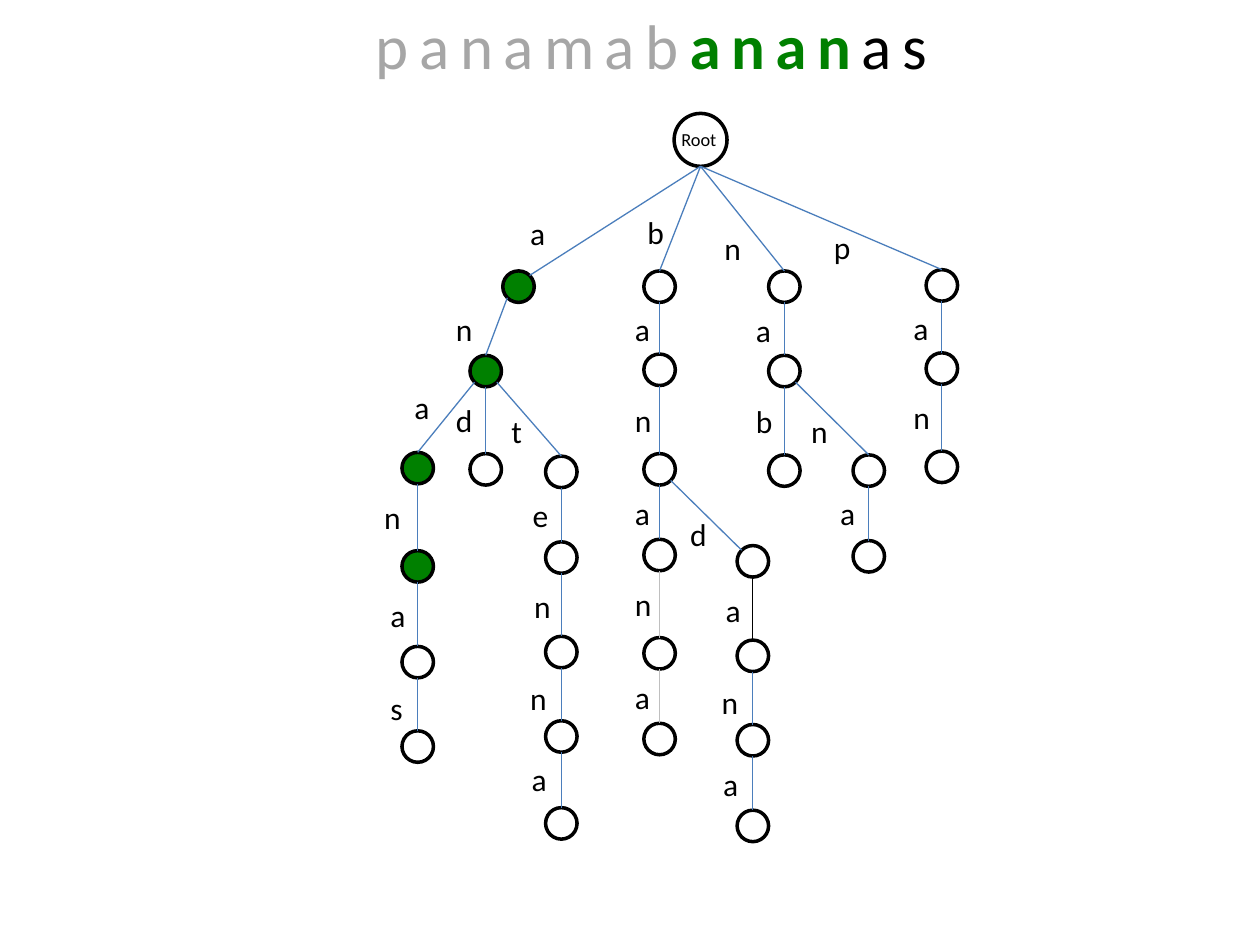
from math import sqrt

from lxml.etree import SubElement
from pptx import Presentation
from pptx.dml.color import RGBColor
from pptx.enum.shapes import MSO_CONNECTOR, MSO_SHAPE
from pptx.enum.text import MSO_AUTO_SIZE, PP_ALIGN
from pptx.oxml.ns import qn
from pptx.util import Inches, Pt

BLACK, WHITE, GREEN = "000000", "FFFFFF", "008000"
BLUE, GREY, PALE_GREY = "4B7EBC", "A6A6A6", "BFBFBF"

ROOT_SIZE, NODE_SIZE = 0.42, 0.25
LABEL_HEIGHT = 0.4
LABEL_WIDTHS = {"a": 0.32, "e": 0.33, "s": 0.3, "t": 0.29}
DEFAULT_LABEL_WIDTH = 0.34

# Each node is keyed by the letters on its way from the root:
# node left, node top, label left, label top, all within the tree box.
TRIE = {
    "a": (0.99, 1.25, 1.11, 0.75),
    "an": (0.73, 1.92, 0.52, 1.51),
    "ana": (0.19, 2.69, 0.19, 2.13),
    "anan": (0.19, 3.47, -0.05, 3),
    "anana": (0.19, 4.23, 0, 3.78),
    "ananas": (0.19, 4.9, 0, 4.52),
    "and": (0.73, 2.7, 0.52, 2.23),
    "ant": (1.33, 2.72, 0.96, 2.32),
    "ante": (1.33, 3.4, 1.13, 2.99),
    "anten": (1.33, 4.15, 1.14, 3.71),
    "antenn": (1.33, 4.82, 1.11, 4.44),
    "antenna": (1.33, 5.51, 1.12, 5.08),
    "b": (2.11, 1.25, 2.04, 0.74),
    "ba": (2.11, 1.91, 1.94, 1.51),
    "ban": (2.11, 2.7, 1.94, 2.23),
    "bana": (2.11, 3.38, 1.94, 2.97),
    "banan": (2.11, 4.16, 1.94, 3.69),
    "banana": (2.11, 4.84, 1.94, 4.43),
    "band": (2.85, 3.43, 2.38, 3.14),
    "banda": (2.85, 4.18, 2.66, 3.74),
    "bandan": (2.85, 4.85, 2.63, 4.47),
    "bandana": (2.85, 5.53, 2.64, 5.12),
    "n": (3.1, 1.25, 2.65, 0.87),
    "na": (3.1, 1.92, 2.9, 1.52),
    "nab": (3.1, 2.71, 2.9, 2.24),
    "nan": (3.77, 2.71, 3.34, 2.32),
    "nana": (3.77, 3.39, 3.57, 2.97),
    "p": (4.35, 1.24, 3.52, 0.86),
    "pa": (4.35, 1.9, 4.15, 1.5),
    "pan": (4.35, 2.68, 4.15, 2.21),
}
MATCHED = "anan"
EDGE_COLORS = {"banan": PALE_GREY, "banana": PALE_GREY, "banda": BLACK}
# Edges that reach the upper right (1) or upper left (-1) of their node.
SLANTED_ENDS = {"a": 1, "band": -1}


def rgb(color):
    return RGBColor.from_string(color)


def add_run(paragraph, text, color=BLACK, spacing=None, **font_values):
    run = paragraph.add_run()
    run.text = text
    run.font.color.rgb = rgb(color)
    for name, value in {"name": "Calibri", **font_values}.items():
        setattr(run.font, name, value)
    if spacing:
        run.font._element.set("spc", str(spacing * 100))


def add_text_box(slide, left, top, width, height, wrap):
    """Add an empty box that fits its text and return its first paragraph."""
    box = slide.shapes.add_textbox(*map(Inches, (left, top, width, height)))
    box.text_frame.word_wrap = wrap
    box.text_frame.auto_size = MSO_AUTO_SIZE.SHAPE_TO_FIT_TEXT
    return box.text_frame.paragraphs[0]


def add_node(slide, left, top, size, fill):
    node = slide.shapes.add_shape(
        MSO_SHAPE.OVAL, *map(Inches, (left, top, size, size)))
    node.shadow.inherit = False
    node.fill.solid()
    node.fill.fore_color.rgb = rgb(fill)
    node.line.color.rgb = rgb(BLACK)
    node.line.width = Pt(2)
    return node


def rim_point(node, side, vertical):
    """Return a point on the circle: side -1, 0 or 1; vertical -1 up, 1 down."""
    radius = node.width / 2
    reach = radius / sqrt(2) if side else radius
    return (int(node.left + radius + side * reach),
            int(node.top + radius + vertical * reach))


def add_edge(slide, parent, child, color, start_side, end_side):
    edge = slide.shapes.add_connector(
        MSO_CONNECTOR.STRAIGHT,
        *rim_point(parent, start_side, 1), *rim_point(child, end_side, -1))
    edge.line.color.rgb = rgb(color)
    edge.line.width = Pt(0.75)
    SubElement(edge._element.spPr, qn("a:effectLst"))
    if not end_side:
        edge.end_connect(child, 0)


def add_title(slide, left, top, width, height):
    paragraph = add_text_box(slide, left, top, width, height, wrap=True)
    paragraph.alignment = PP_ALIGN.CENTER
    for text, color, bold in (("panamab", GREY, False),
                              (MATCHED, GREEN, True),
                              ("as", BLACK, False)):
        add_run(paragraph, text, color, spacing=6, size=Pt(36), bold=bold)


def add_trie(slide, left, top):
    root = add_node(slide, left + 2.35, top, ROOT_SIZE, WHITE)
    root_label = add_text_box(
        slide, left + 2.31, top + 0.07, 0.55, 0.28, wrap=True)
    add_run(root_label, "Root", size=Pt(10.5))

    nodes = {"": root}
    for prefix, (node_x, node_y, label_x, label_y) in TRIE.items():
        parent_prefix, letter = prefix[:-1], prefix[-1]
        parent = nodes[parent_prefix]
        fill = GREEN if MATCHED.startswith(prefix) else WHITE
        node = add_node(slide, left + node_x, top + node_y, NODE_SIZE, fill)
        nodes[prefix] = node

        start_side = 0
        if parent is not root:
            start_side = (node.left > parent.left) - (node.left < parent.left)
        add_edge(slide, parent, node, EDGE_COLORS.get(prefix, BLUE),
                 start_side, SLANTED_ENDS.get(prefix, 0))

        label = add_text_box(
            slide, left + label_x, top + label_y,
            LABEL_WIDTHS.get(letter, DEFAULT_LABEL_WIDTH), LABEL_HEIGHT,
            wrap=False)
        add_run(label, letter, size=Pt(18))


def main():
    presentation = Presentation()
    presentation.slide_width = Inches(10)
    presentation.slide_height = Inches(7.5)
    slide = presentation.slides.add_slide(presentation.slide_layouts[6])
    add_title(slide, 2.67, 0, 5, 0.71)
    add_trie(slide, 3, 0.9)
    presentation.save("out.pptx")


if __name__ == "__main__":
    main()
